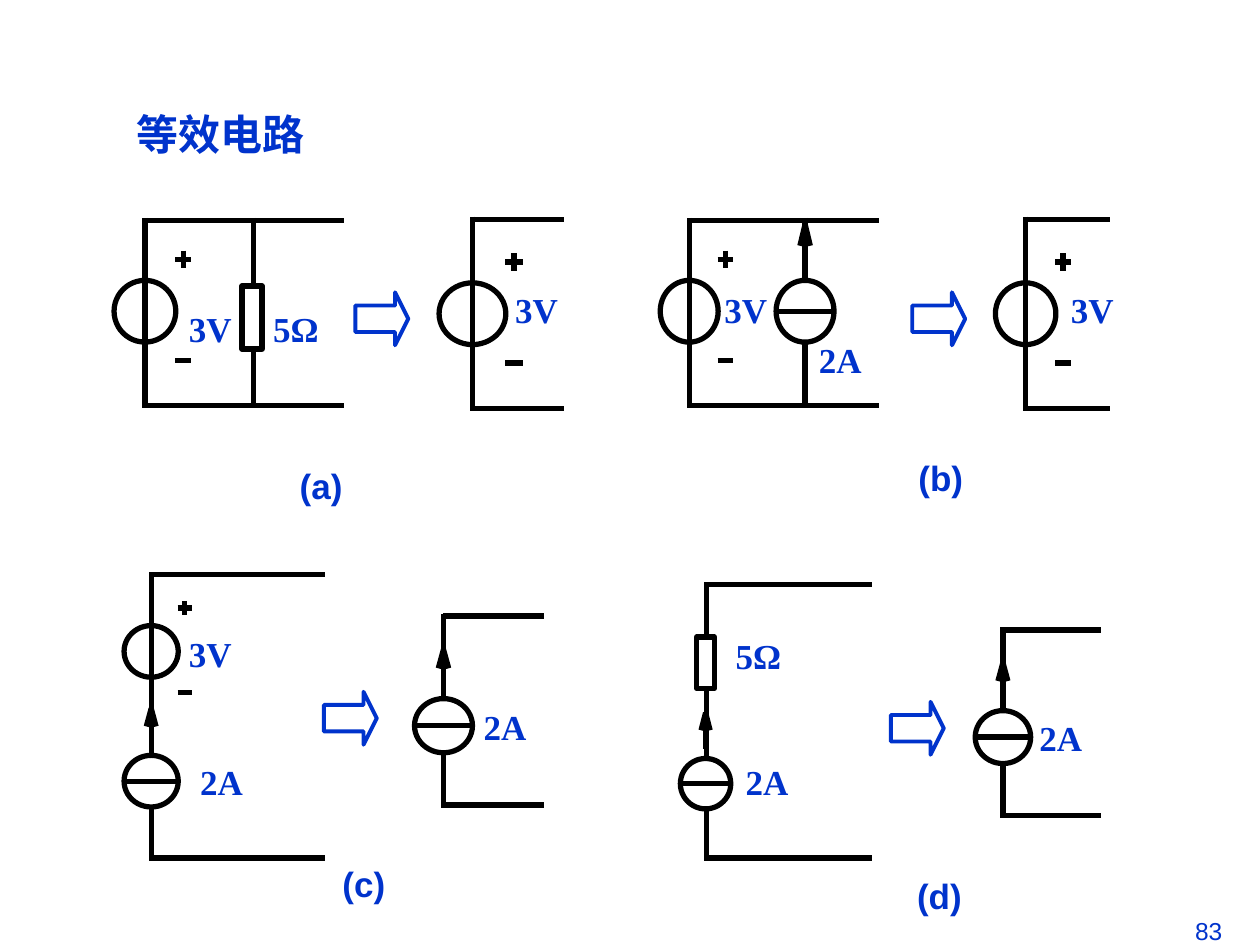
"""Build a slide of four source circuits and their equivalents."""
from dataclasses import dataclass

from lxml import etree
from pptx import Presentation
from pptx.dml.color import RGBColor
from pptx.enum.shapes import MSO_CONNECTOR, MSO_SHAPE
from pptx.enum.text import MSO_ANCHOR, MSO_AUTO_SIZE, PP_ALIGN
from pptx.oxml.ns import qn
from pptx.util import Inches, Pt

STRAIGHT = MSO_CONNECTOR.STRAIGHT
OVAL = MSO_SHAPE.OVAL
RECTANGLE = MSO_SHAPE.RECTANGLE
RIGHT_ARROW = MSO_SHAPE.RIGHT_ARROW
TOP, MIDDLE = MSO_ANCHOR.TOP, MSO_ANCHOR.MIDDLE
LEFT, RIGHT = PP_ALIGN.LEFT, PP_ALIGN.RIGHT
FIXED = MSO_AUTO_SIZE.NONE

BLUE = RGBColor(0x00, 0x33, 0xCC)
BLACK = RGBColor(0x00, 0x00, 0x00)
WHITE = RGBColor(0xFF, 0xFF, 0xFF)
SANS, SERIF = "Arial", "Times New Roman"
WIRE_PT, ARROW_PT = 3, 2.25
OVERLAP = 0.02
LABEL_H = 0.44
ARROW_SIZE = 0.42


@dataclass(frozen=True)
class Part:
    """A component given by its centre and size."""
    x: float
    y: float
    w: float
    h: float


@dataclass(frozen=True)
class Label:
    text: str
    x: float
    y: float
    w: float = 0.58


@dataclass(frozen=True)
class Circuit:
    """A left wire with two rails, and the components on it."""
    x: float
    top: float
    bottom: float
    right: float
    labels: tuple[Label, ...]
    voltages: tuple[Part, ...] = ()
    currents: tuple[Part, ...] = ()
    resistors: tuple[Part, ...] = ()
    branches: tuple[float, ...] = ()


CIRCUITS = (
    Circuit(1.15, 1.75, 3.22, 2.73,
            (Label("3V", 1.4, 2.39), Label("5Ω", 2.07, 2.39, 0.67)),
            voltages=(Part(1.15, 2.47, 0.49, 0.49),),
            resistors=(Part(2, 2.52, 0.16, 0.5),), branches=(2.01,)),
    Circuit(3.75, 1.74, 3.24, 4.48, (Label("3V", 3.99, 2.24),),
            voltages=(Part(3.75, 2.49, 0.53, 0.49),)),
    Circuit(5.47, 1.75, 3.22, 6.98,
            (Label("3V", 5.65, 2.24), Label("2A", 6.4, 2.64)),
            voltages=(Part(5.47, 2.47, 0.46, 0.49),),
            currents=(Part(6.39, 2.47, 0.46, 0.49),), branches=(6.39,)),
    Circuit(8.14, 1.74, 3.24, 8.81, (Label("3V", 8.4, 2.24),),
            voltages=(Part(8.14, 2.49, 0.48, 0.49),)),
    Circuit(1.2, 4.56, 6.81, 2.58,
            (Label("3V", 1.4, 4.97), Label("2A", 1.49, 5.99)),
            voltages=(Part(1.2, 5.17, 0.43, 0.41),),
            currents=(Part(1.2, 6.2, 0.43, 0.41),)),
    Circuit(3.52, 4.89, 6.39, 4.32, (Label("2A", 3.74, 5.55),),
            currents=(Part(3.52, 5.76, 0.46, 0.43),)),
    Circuit(5.61, 4.64, 6.81, 6.92,
            (Label("5Ω", 5.74, 4.99, 0.75), Label("2A", 5.82, 5.99)),
            currents=(Part(5.6, 6.22, 0.4, 0.4),),
            resistors=(Part(5.6, 5.26, 0.14, 0.41),)),
    Circuit(7.96, 5, 6.47, 8.74, (Label("2A", 8.15, 5.64),),
            currents=(Part(7.96, 5.85, 0.44, 0.42),)),
)
CAPTIONS = (
    Label("(a)", 2.28, 3.64, 0.54),
    Label("(b)", 7.19, 3.57, 0.55),
    Label("(c)", 2.62, 6.8, 0.54),
    Label("(d)", 7.18, 6.89, 0.55),
)
ARROWS = ((2.82, 2.32), (7.24, 2.32), (2.57, 5.49), (7.07, 5.57))


def add_wire(shapes, x1: float, y1: float, x2: float, y2: float) -> None:
    s = shapes.add_connector(STRAIGHT, Inches(x1), Inches(y1), Inches(x2), Inches(y2))
    s.line.color.rgb = BLACK
    s.line.width = Pt(WIRE_PT)
    etree.SubElement(s._element.spPr, qn("a:effectLst"))


def add_outline(shapes, kind, part: Part, color: RGBColor, width: float):
    sp = shapes.add_shape(kind, Inches(part.x - part.w / 2), Inches(part.y - part.h / 2),
                          Inches(part.w), Inches(part.h))
    sp.shadow.inherit = False
    sp.fill.solid()
    sp.fill.fore_color.rgb = WHITE
    sp.line.color.rgb = color
    sp.line.width = Pt(width)
    return sp


def set_text(sp, text: str, font: str, size: float, bold: bool = True,
             align=LEFT, anchor=TOP) -> None:
    tf = sp.text_frame
    tf.auto_size = FIXED
    tf.vertical_anchor = anchor
    tf.margin_left = tf.margin_right = Inches(0.1)
    tf.margin_top = tf.margin_bottom = Inches(0.05)
    p = tf.paragraphs[0]
    p.text = text
    p.alignment = align
    p.font.name = font
    p.font.size = Pt(size)
    p.font.bold = bold
    p.font.color.rgb = BLUE


def add_label(shapes, label: Label, font: str, wrap: bool = True) -> None:
    sp = shapes.add_textbox(Inches(label.x), Inches(label.y), Inches(label.w), Inches(LABEL_H))
    set_text(sp, label.text, font, 20)
    sp.text_frame.word_wrap = wrap


def add_voltage_source(shapes, part: Part) -> None:
    add_outline(shapes, OVAL, part, BLACK, WIRE_PT)
    x, arm_x, arm_y = part.x + 0.62 * part.w, 0.13 * part.w, 0.14 * part.h
    plus_y, minus_y = part.y - 0.84 * part.h, part.y + 0.8 * part.h
    for y in (plus_y, minus_y):
        add_wire(shapes, x - arm_x, y, x + arm_x, y)
    add_wire(shapes, x, plus_y - arm_y, x, plus_y + arm_y)


def add_current_source(shapes, part: Part) -> None:
    add_outline(shapes, OVAL, part, BLACK, WIRE_PT)
    add_wire(shapes, part.x - part.w / 2, part.y, part.x + part.w / 2, part.y)
    tip = part.y - 1.41 * part.h
    for dx, dy in ((-0.09, 0.35), (0.09, 0.35), (0, 0.73)):
        add_wire(shapes, part.x, tip, part.x + dx * part.w, tip + dy * part.h)


def add_circuit(slide, circuit: Circuit) -> None:
    shapes = slide.shapes.add_group_shape().shapes
    for part in circuit.voltages:
        add_voltage_source(shapes, part)
    for x in (circuit.x, *circuit.branches):
        add_wire(shapes, x, circuit.top - OVERLAP, x, circuit.bottom + OVERLAP)
    for y in (circuit.top, circuit.bottom):
        add_wire(shapes, circuit.x, y, circuit.right, y)
    for part in circuit.resistors:
        add_outline(shapes, RECTANGLE, part, BLACK, WIRE_PT)
    for part in circuit.currents:
        add_current_source(shapes, part)
    for label in circuit.labels:
        add_label(shapes, label, SERIF)


def main() -> None:
    prs = Presentation()
    prs.slide_width, prs.slide_height = Inches(10), Inches(7.5)
    slide = prs.slides.add_slide(prs.slide_layouts[5])

    title = slide.shapes.title
    title.left, title.top = Inches(0.98), Inches(0.81)
    title.width, title.height = Inches(2.17), Inches(0.5)
    set_text(title, "等效电路", SANS, 24, anchor=MIDDLE)

    number = slide.shapes.add_textbox(Inches(7.3), Inches(7.22), Inches(2.5), Inches(0.52))
    set_text(number, "83", SANS, 14, bold=False, align=RIGHT)
    number.text_frame.word_wrap = True

    for left, top in ARROWS:
        part = Part(left + ARROW_SIZE / 2, top + ARROW_SIZE / 2, ARROW_SIZE, ARROW_SIZE)
        sp = add_outline(slide.shapes, RIGHT_ARROW, part, BLUE, ARROW_PT)
        sp.adjustments[1] = 0.25
    for caption in CAPTIONS:
        add_label(slide.shapes, caption, SANS, wrap=False)
    for circuit in CIRCUITS:
        add_circuit(slide, circuit)

    prs.save("out.pptx")


if __name__ == "__main__":
    main()
